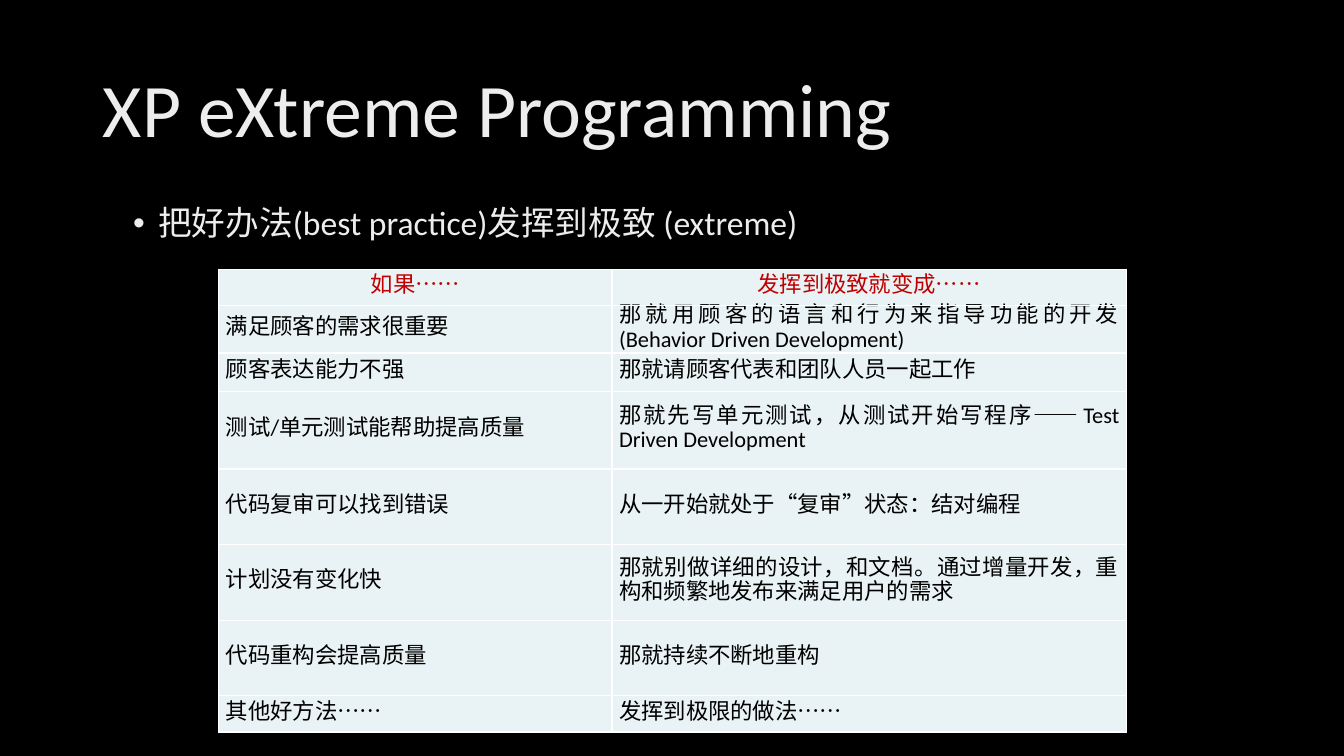
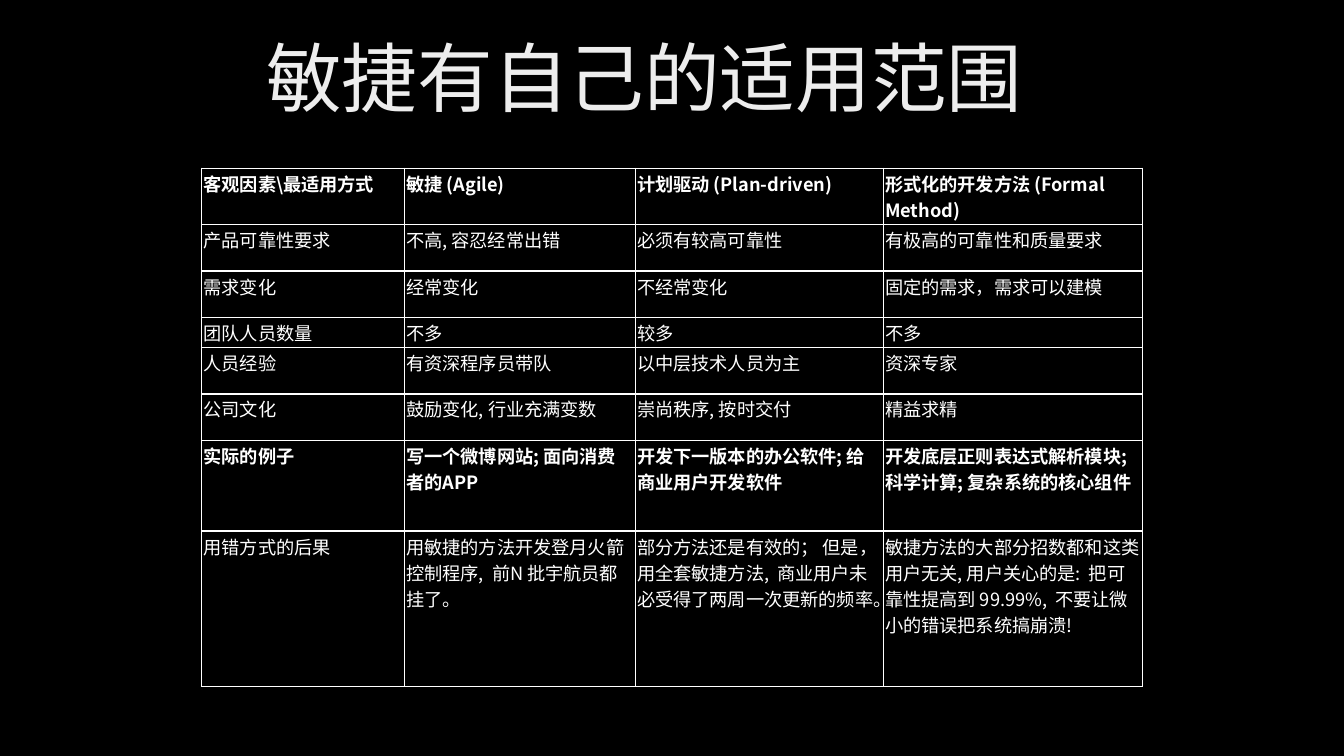
import dataclasses
import typing

import lxml.etree
import pptx
import pptx.dml.color
import pptx.enum.text
import pptx.oxml.ns
import pptx.presentation
import pptx.shapes.placeholder
import pptx.slide
import pptx.table
import pptx.text.text
import pptx.util

Inches = pptx.util.Inches
Pt = pptx.util.Pt
Align = pptx.enum.text.PP_ALIGN
Anchor = pptx.enum.text.MSO_ANCHOR
qn = pptx.oxml.ns.qn

BLACK = "000000"
WHITE = "FFFFFF"
SILVER = "EDEDED"
RED = "C00000"
MIST = "E9F2F4"
LATIN = "Calibri"
HAN = "Noto Sans CJK SC"
BORDER_WIDTH = Pt(1)


class Box(typing.NamedTuple):
    left: float
    top: float
    width: float
    height: float


@dataclasses.dataclass(frozen=True)
class TextStyle:
    size: float
    color: str
    font: str = LATIN
    bold: bool = False
    align: Align = Align.LEFT
    line_spacing: float | pptx.util.Length = 1.0
    space_before: float = 0
    space_after: float = 0


@dataclasses.dataclass(frozen=True)
class Grid:
    left: float
    top: float
    widths: list[float]
    heights: list[float]
    rows: list[list[str]]
    style_at: typing.Callable[[int, int], TextStyle]
    margin_x: float
    margin_y: float
    anchor: Anchor
    fill: str | None = None


TITLE = TextStyle(54, SILVER, line_spacing=0.9)
BULLET = TextStyle(24, SILVER, line_spacing=0.9, space_before=10)
CLAIM = TextStyle(16, BLACK, align=Align.JUSTIFY, line_spacing=Pt(17))
EXTREME = dataclasses.replace(CLAIM, space_before=1.5, space_after=1.5)
CLAIM_HEADER = dataclasses.replace(CLAIM, color=RED, align=Align.CENTER)
FACTOR = TextStyle(13, WHITE, font=HAN)
FACTOR_STRONG = dataclasses.replace(FACTOR, bold=True)


def practice_style(row: int, column: int) -> TextStyle:
    if row == 0:
        return CLAIM_HEADER
    return EXTREME if column else CLAIM


def scope_style(row: int, column: int) -> TextStyle:
    return FACTOR_STRONG if row in (0, 6) else FACTOR


PRACTICES = Grid(
    left=2.17,
    top=2.67,
    widths=[3.9, 5.1],
    heights=[0.36, 0.46, 0.38, 0.77, 0.75, 0.75, 0.75, 0.36],
    rows=[
        ["如果……", "发挥到极致就变成……"],
        ["满足顾客的需求很重要", "那就用顾客的语言和行为来指导功能的开发 (Behavior Driven Development)"],
        ["顾客表达能力不强", "那就请顾客代表和团队人员一起工作"],
        ["测试/单元测试能帮助提高质量", "那就先写单元测试，从测试开始写程序——Test Driven Development"],
        ["代码复审可以找到错误", "从一开始就处于“复审”状态：结对编程"],
        ["计划没有变化快", "那就别做详细的设计，和文档。通过增量开发，重构和频繁地发布来满足用户的需求"],
        ["代码重构会提高质量", "那就持续不断地重构"],
        ["其他好方法……", "发挥到极限的做法……"],
    ],
    style_at=practice_style,
    margin_x=0.07,
    margin_y=0,
    anchor=Anchor.MIDDLE,
    fill=MIST,
)

SCOPE = Grid(
    left=2,
    top=1.67,
    widths=[2.01, 2.29, 2.46, 2.57],
    heights=[0.46, 0.46, 0.46, 0.25, 0.46, 0.46, 0.9, 1.54],
    rows=[
        ["客观因素\\最适用方式", "敏捷 (Agile)", "计划驱动 (Plan-driven)", "形式化的开发方法 (Formal Method)"],
        ["产品可靠性要求", "不高, 容忍经常出错", "必须有较高可靠性", "有极高的可靠性和质量要求"],
        ["需求变化", "经常变化", "不经常变化", "固定的需求，需求可以建模"],
        ["团队人员数量", "不多", "较多", "不多"],
        ["人员经验", "有资深程序员带队", "以中层技术人员为主", "资深专家"],
        ["公司文化", "鼓励变化, 行业充满变数", "崇尚秩序, 按时交付", "精益求精"],
        [
            "实际的例子",
            "写一个微博网站; 面向消费者的APP",
            "开发下一版本的办公软件; 给商业用户开发软件",
            "开发底层正则表达式解析模块; \v科学计算; 复杂系统的核心组件",
        ],
        [
            "用错方式的后果",
            "用敏捷的方法开发登月火箭控制程序,  前N 批宇航员都挂了。",
            "部分方法还是有效的； 但是，用全套敏捷方法,  商业用户未必受得了两周一次更新的频率。",
            "敏捷方法的大部分招数都和这类用户无关, 用户关心的是:  把可靠性提高到 99.99%,  不要让微小的错误把系统搞崩溃!",
        ],
    ],
    style_at=scope_style,
    margin_x=0.02,
    margin_y=0.02,
    anchor=Anchor.TOP,
)


def rgb(color: str) -> pptx.dml.color.RGBColor:
    return pptx.dml.color.RGBColor.from_string(color)


def write(frame: pptx.text.text.TextFrame, text: str, style: TextStyle) -> None:
    frame.text = text
    for paragraph in frame.paragraphs:
        paragraph.alignment = style.align
        paragraph.line_spacing = style.line_spacing
        paragraph.space_before = Pt(style.space_before)
        paragraph.space_after = Pt(style.space_after)
        for run in paragraph.runs:
            run.font.size = Pt(style.size)
            run.font.bold = style.bold
            run.font.color.rgb = rgb(style.color)
            run.font.name = style.font
            latin = run.font._element.find(qn("a:latin"))
            latin.addnext(latin.makeelement(qn("a:ea"), {"typeface": HAN}))


def fill_placeholder(
    placeholder: pptx.shapes.placeholder.SlidePlaceholder,
    text: str,
    box: Box,
    style: TextStyle,
    anchor: Anchor,
) -> None:
    placeholder.left, placeholder.top, placeholder.width, placeholder.height = map(Inches, box)
    frame = placeholder.text_frame
    frame.word_wrap = True
    frame.auto_size = pptx.enum.text.MSO_AUTO_SIZE.NONE
    frame.vertical_anchor = anchor
    write(frame, text, style)


def add_bullet(paragraph: pptx.text.text._Paragraph, indent: float) -> None:
    properties = paragraph._p.get_or_add_pPr()
    properties.set("marL", str(Inches(indent)))
    properties.set("indent", str(-Inches(indent)))
    lxml.etree.SubElement(properties, qn("a:buFont"), typeface="Arial")
    lxml.etree.SubElement(properties, qn("a:buChar"), char="•")


def add_borders(cell: pptx.table._Cell, color: str) -> None:
    properties = cell._tc.get_or_add_tcPr()
    for side in ("lnL", "lnR", "lnT", "lnB"):
        line = lxml.etree.SubElement(properties, qn(f"a:{side}"), w=str(BORDER_WIDTH))
        paint = lxml.etree.SubElement(line, qn("a:solidFill"))
        lxml.etree.SubElement(paint, qn("a:srgbClr"), val=color)


def add_grid(slide: pptx.slide.Slide, grid: Grid) -> None:
    table = slide.shapes.add_table(
        len(grid.heights),
        len(grid.widths),
        Inches(grid.left),
        Inches(grid.top),
        Inches(sum(grid.widths)),
        Inches(sum(grid.heights)),
    ).table
    table.first_row = False
    table.horz_banding = False
    for column, width in zip(table.columns, grid.widths):
        column.width = Inches(width)
    for row, height in zip(table.rows, grid.heights):
        row.height = Inches(height)
    for row_index, texts in enumerate(grid.rows):
        for column_index, text in enumerate(texts):
            cell = table.cell(row_index, column_index)
            cell.margin_left = cell.margin_right = Inches(grid.margin_x)
            cell.margin_top = cell.margin_bottom = Inches(grid.margin_y)
            cell.vertical_anchor = grid.anchor
            add_borders(cell, WHITE)
            if grid.fill:
                cell.fill.solid()
                cell.fill.fore_color.rgb = rgb(grid.fill)
            else:
                cell.fill.background()
            write(cell.text_frame, text, grid.style_at(row_index, column_index))


def add_titled_slide(
    deck: pptx.presentation.Presentation, layout: int, title: str, box: Box
) -> pptx.slide.Slide:
    slide = deck.slides.add_slide(deck.slide_layouts[layout])
    fill_placeholder(slide.shapes.title, title, box, TITLE, Anchor.MIDDLE)
    return slide


def main() -> None:
    deck = pptx.Presentation()
    deck.slide_width = Inches(13.33)
    deck.slide_height = Inches(7.5)
    backdrop = deck.slide_master.background.fill
    backdrop.solid()
    backdrop.fore_color.rgb = rgb(BLACK)

    extreme = add_titled_slide(deck, 1, "XP eXtreme Programming", Box(0.92, 0.4, 11.5, 1.45))
    principle = extreme.placeholders[1]
    fill_placeholder(
        principle,
        "把好办法(best practice)发挥到极致 (extreme)",
        Box(1.22, 2, 11.19, 4.76),
        BULLET,
        Anchor.TOP,
    )
    add_bullet(principle.text_frame.paragraphs[0], 0.25)
    add_grid(extreme, PRACTICES)

    scope = add_titled_slide(deck, 5, "敏捷有自己的适用范围", Box(2.54, 0.02, 8.25, 1.59))
    add_grid(scope, SCOPE)

    deck.save("out.pptx")


if __name__ == "__main__":
    main()
